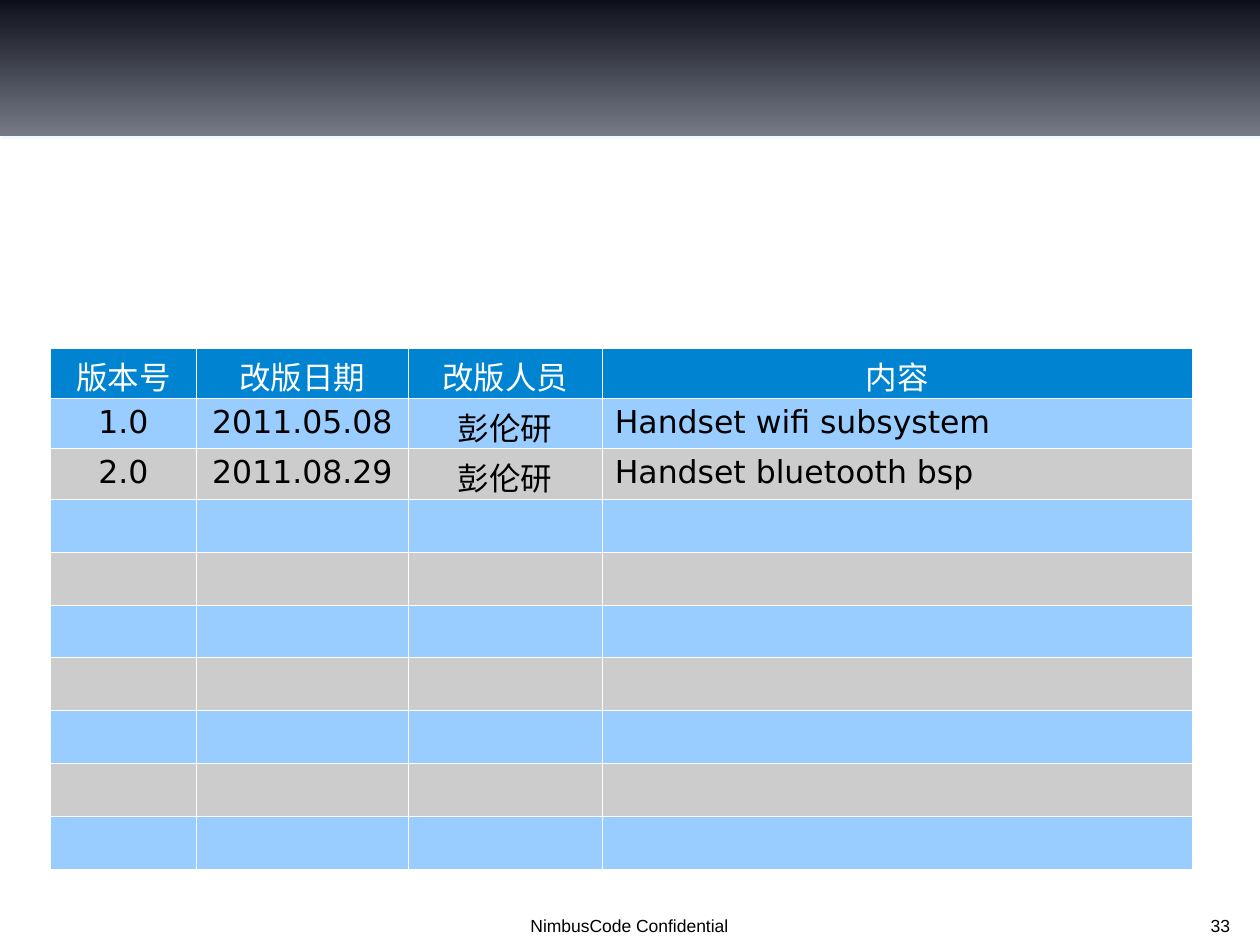
from dataclasses import dataclass
from lxml.etree import SubElement
from pptx import Presentation
from pptx.dml.color import RGBColor
from pptx.enum.shapes import MSO_SHAPE
from pptx.enum.text import MSO_ANCHOR, PP_ALIGN
from pptx.oxml import parse_xml
from pptx.oxml.ns import nsdecls, qn
from pptx.util import Inches, Pt


@dataclass(frozen=True)
class Theme:
    dark: str = "0E101B"
    slate: str = "757A86"
    glow: str = "EDF8FE"
    head: str = "0084D1"
    bands: tuple = ("99CCFF", "CCCCCC")
    white: str = "FFFFFF"
    black: str = "000000"
    body: str = "DejaVu Sans"
    small: str = "Arial"
    cell: int = 18
    note: int = 10


THEME = Theme()
WIDTH, HEIGHT = Inches(10), Inches(7.5)
COLS = (1.16, 1.68, 1.54, 4.68)
ROWS = (0.4,) * 3 + (0.42,) * 7
LOG = (
    ("版本号", "改版日期", "改版人员", "内容"),
    ("1.0", "2011.05.08", "彭伦研", "Handset wifi subsystem"),
    ("2.0", "2011.08.29", "彭伦研", "Handset bluetooth bsp"),
)


def style(para, font, size, color, align):
    para.alignment = align
    para.font.name = font
    para.font.size = Pt(size)
    para.font.color.rgb = RGBColor.from_string(color)


def add_band(slide):
    band = slide.shapes.add_shape(
        MSO_SHAPE.RECTANGLE, 0, 0, WIDTH, int(HEIGHT * 0.144))
    band.line.fill.background()
    band.fill.gradient()
    band.fill.gradient_angle = 270
    for stop, color in zip(band.fill.gradient_stops, (THEME.dark, THEME.slate)):
        stop.color.rgb = RGBColor.from_string(color)
    # Pale offset shadow under the band
    band._element.spPr.append(parse_xml(
        f'<a:effectLst {nsdecls("a")}><a:outerShdw dist="{Pt(2)}" dir="2700000">'
        f'<a:srgbClr val="{THEME.glow}"><a:alpha val="75000"/></a:srgbClr>'
        '</a:outerShdw></a:effectLst>'))


def add_note(slide, text, left, width, align):
    box = slide.shapes.add_textbox(
        int(WIDTH * left), int(HEIGHT * 0.956), int(WIDTH * width), Inches(0.31))
    frame = box.text_frame
    frame.word_wrap = True
    frame.vertical_anchor = MSO_ANCHOR.BOTTOM
    frame.text = text
    style(frame.paragraphs[0], THEME.small, THEME.note, THEME.black, align)


def add_edges(cell):
    props = cell._tc.get_or_add_tcPr()
    for spot, side in enumerate(("lnL", "lnR", "lnT", "lnB")):
        line = parse_xml(
            f'<a:{side} {nsdecls("a")} w="{Pt(0.06)}"/>')
        fill = SubElement(line, qn("a:solidFill"))
        SubElement(fill, qn("a:srgbClr"), val=THEME.white)
        props.insert(spot, line)


def fill_cell(cell, row, col):
    color = THEME.bands[(row - 1) % 2] if row else THEME.head
    cell.fill.solid()
    cell.fill.fore_color.rgb = RGBColor.from_string(color)
    add_edges(cell)
    if row < len(LOG):
        cell.text = LOG[row][col]
    if row == 0:
        cell.vertical_anchor = MSO_ANCHOR.MIDDLE
    para = cell.text_frame.paragraphs[0]
    para.line_spacing = 0.98
    left = row and col == len(COLS) - 1
    style(para, THEME.body, THEME.cell, THEME.black if row else THEME.white,
          PP_ALIGN.LEFT if left else PP_ALIGN.CENTER)


def add_log(slide):
    table = slide.shapes.add_table(
        len(ROWS), len(COLS), int(WIDTH * 0.04), int(HEIGHT * 0.368),
        Inches(sum(COLS)), Inches(sum(ROWS))).table
    table.first_row = table.horz_banding = False
    for column, width in zip(table.columns, COLS):
        column.width = Inches(width)
    for row, height in enumerate(ROWS):
        table.rows[row].height = Inches(height)
        for col in range(len(COLS)):
            fill_cell(table.cell(row, col), row, col)


def main():
    deck = Presentation()
    deck.slide_width, deck.slide_height = WIDTH, HEIGHT
    slide = deck.slides.add_slide(deck.slide_layouts[6])
    add_band(slide)
    # Page number and footer
    add_note(slide, "33", 0.922, 0.064, PP_ALIGN.RIGHT)
    add_note(slide, "NimbusCode Confidential", 0.371, 0.257, PP_ALIGN.CENTER)
    # Revision history
    add_log(slide)
    deck.save("out.pptx")


if __name__ == "__main__":
    main()
